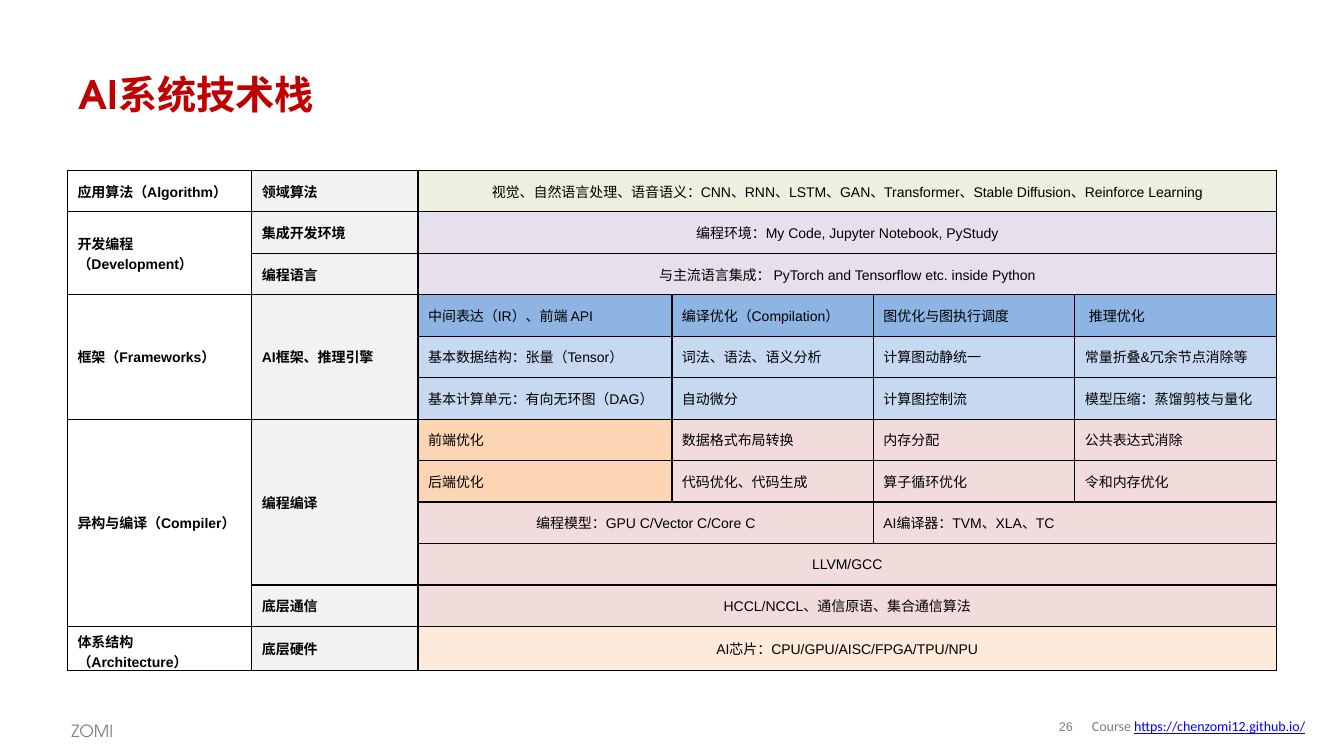
from dataclasses import dataclass
from typing import Optional

from lxml.etree import SubElement
from pptx import Presentation
from pptx.dml.color import RGBColor
from pptx.enum.text import MSO_ANCHOR as Anchor, PP_ALIGN as Align
from pptx.oxml.ns import qn
from pptx.slide import Slide
from pptx.table import _Cell as Cell
from pptx.text.text import Font
from pptx.util import Inches, Length, Pt

SLIDE_WIDTH, SLIDE_HEIGHT = Inches(13.34), Inches(7.5)

BLACK = RGBColor(0x00, 0x00, 0x00)
TITLE_RED = RGBColor(0xC0, 0x00, 0x00)
FOOTER_GREY = RGBColor(0x80, 0x80, 0x80)
LINK_BLUE = RGBColor(0x00, 0x00, 0xFF)
TOPIC_GREY = RGBColor(0xF2, 0xF2, 0xF2)
GREEN = RGBColor(0xEB, 0xF1, 0xDE)
PURPLE = RGBColor(0xE6, 0xE0, 0xEC)
BLUE = RGBColor(0x8E, 0xB4, 0xE3)
PALE_BLUE = RGBColor(0xC6, 0xD9, 0xF1)
ORANGE = RGBColor(0xFC, 0xD5, 0xB5)
PINK = RGBColor(0xF2, 0xDC, 0xDB)
CREAM = RGBColor(0xFD, 0xEA, 0xDA)

BODY_FONT, DISPLAY_FONT, LINK_FONT = "Arial", "TeX Gyre Adventor", "Calibri"

# Table measures, in percent of the slide's width or height
TABLE_LEFT, TABLE_TOP, TABLE_HEIGHT = 5.02, 22.53, 65.87
COLUMN_WIDTHS = (13.72, 12.37, 18.89, 14.99, 14.99, 14.99)
ROW_COUNT = 12
LAYER, TOPIC, DETAIL = 0, 1, 2  # first column of each part


@dataclass(frozen=True)
class Label:
    """A free text; its place is in percent of the slide's size."""
    left: float
    top: float
    width: float
    height: float
    text: str
    font: str
    size: float
    color: RGBColor
    bold: bool = False
    anchor: Anchor = Anchor.MIDDLE
    align: Align = Align.LEFT
    line_spacing: float = 1.0
    inset: float = 0.1
    link: str = ""


@dataclass(frozen=True)
class Block:
    """One cell of the stack, placed by row and column."""
    row: int
    column: int
    text: str
    fill: Optional[RGBColor] = None
    rows: int = 1
    columns: int = 1
    inset: float = 0.1

    @property
    def is_heading(self) -> bool:
        return self.column < DETAIL

    @property
    def is_centred(self) -> bool:
        return self.columns == 4 or (self.columns == 2 and self.column == DETAIL)


LABELS = (
    Label(5.1, 8.13, 89.88, 8.53, "AI系统技术栈", DISPLAY_FONT, 28, TITLE_RED, bold=True),
    Label(77.96, 94.13, 2.7, 4.13, "26", BODY_FONT, 9, FOOTER_GREY,
          align=Align.CENTER, line_spacing=0.85, inset=0),
    Label(4.57, 94.13, 6, 4.27, "ZOMI", DISPLAY_FONT, 12, FOOTER_GREY,
          anchor=Anchor.TOP, line_spacing=1.2),
    Label(80.51, 94.13, 18.44, 3.87, "Course ", LINK_FONT, 10, FOOTER_GREY,
          link="https://chenzomi12.github.io/"),
)

LAYERS = (
    Block(0, LAYER, "应用算法（Algorithm）"),
    Block(1, LAYER, "开发编程（Development）", rows=2),
    Block(3, LAYER, "框架（Frameworks）", rows=3),
    Block(6, LAYER, "异构与编译（Compiler）", rows=5),
    Block(11, LAYER, "体系结构（Architecture）"),
)

TOPICS = (
    Block(0, TOPIC, "领域算法", TOPIC_GREY),
    Block(1, TOPIC, "集成开发环境", TOPIC_GREY),
    Block(2, TOPIC, "编程语言", TOPIC_GREY),
    Block(3, TOPIC, "AI框架、推理引擎", TOPIC_GREY, rows=3),
    Block(6, TOPIC, "编程编译", TOPIC_GREY, rows=4),
    Block(10, TOPIC, "底层通信", TOPIC_GREY),
    Block(11, TOPIC, "底层硬件", TOPIC_GREY),
)

DETAILS = (
    Block(0, DETAIL, "视觉、自然语言处理、语音语义：CNN、RNN、LSTM、GAN、Transformer、"
          "Stable Diffusion、Reinforce Learning", GREEN, columns=4),
    Block(1, DETAIL, "编程环境：My Code, Jupyter Notebook, PyStudy", PURPLE, columns=4),
    Block(2, DETAIL, "与主流语言集成： PyTorch and Tensorflow etc. inside Python",
          PURPLE, columns=4),
    Block(3, 2, "中间表达（IR）、前端 API", BLUE),
    Block(3, 3, "编译优化（Compilation）", BLUE),
    Block(3, 4, "图优化与图执行调度", BLUE),
    Block(3, 5, "推理优化", BLUE, inset=0.14),
    Block(4, 2, "基本数据结构：张量（Tensor）", PALE_BLUE),
    Block(4, 3, "词法、语法、语义分析", PALE_BLUE),
    Block(4, 4, "计算图动静统一", PALE_BLUE),
    Block(4, 5, "常量折叠&冗余节点消除等", PALE_BLUE),
    Block(5, 2, "基本计算单元：有向无环图（DAG）", PALE_BLUE),
    Block(5, 3, "自动微分", PALE_BLUE),
    Block(5, 4, "计算图控制流", PALE_BLUE),
    Block(5, 5, "模型压缩：蒸馏剪枝与量化", PALE_BLUE),
    Block(6, 2, "前端优化", ORANGE),
    Block(6, 3, "数据格式布局转换", PINK),
    Block(6, 4, "内存分配", PINK),
    Block(6, 5, "公共表达式消除", PINK),
    Block(7, 2, "后端优化", ORANGE),
    Block(7, 3, "代码优化、代码生成", PINK),
    Block(7, 4, "算子循环优化", PINK),
    Block(7, 5, "令和内存优化", PINK),
    Block(8, 2, "编程模型：GPU C/Vector C/Core C", PINK, columns=2),
    Block(8, 4, "AI编译器：TVM、XLA、TC", PINK, columns=2),
    Block(9, DETAIL, "LLVM/GCC", PINK, columns=4),
    Block(10, DETAIL, "HCCL/NCCL、通信原语、集合通信算法", PINK, columns=4),
    Block(11, DETAIL, "AI芯片：CPU/GPU/AISC/FPGA/TPU/NPU", CREAM, columns=4),
)


def across(percent: float) -> Length:
    return Length(round(SLIDE_WIDTH * percent / 100))


def down(percent: float) -> Length:
    return Length(round(SLIDE_HEIGHT * percent / 100))


def set_font(font: Font, name: str, size: float, color: RGBColor, bold: bool) -> None:
    font.name, font.size, font.bold = name, Pt(size), bold
    font.color.rgb = color


def draw_label(slide: Slide, label: Label) -> None:
    frame = slide.shapes.add_textbox(across(label.left), down(label.top),
                                     across(label.width), down(label.height)).text_frame
    frame.word_wrap = True
    frame.vertical_anchor = label.anchor
    frame.margin_left = frame.margin_right = Inches(label.inset)
    frame.margin_top = frame.margin_bottom = Inches(label.inset / 2)
    paragraph = frame.paragraphs[0]
    paragraph.alignment = label.align
    paragraph.line_spacing = label.line_spacing
    set_font(paragraph.font, label.font, label.size, label.color, label.bold)
    paragraph.add_run().text = label.text
    if label.link:
        address = paragraph.add_run()
        address.text = label.link
        address.font.color.rgb = LINK_BLUE
        address.font.underline = True


def add_borders(cell: Cell) -> None:
    properties = cell._tc.get_or_add_tcPr()
    for position, side in enumerate(("a:lnL", "a:lnR", "a:lnT", "a:lnB")):
        line = SubElement(properties, qn(side), w=str(Pt(1)))
        SubElement(SubElement(line, qn("a:solidFill")), qn("a:srgbClr"), val=str(BLACK))
        properties.insert(position, line)


def fill_block(cell: Cell, block: Block) -> None:
    cell.vertical_anchor = Anchor.MIDDLE
    cell.margin_left = cell.margin_right = Inches(block.inset)
    cell.margin_top = cell.margin_bottom = Inches(0.05)
    if block.fill is None:
        cell.fill.background()
    else:
        cell.fill.solid()
        cell.fill.fore_color.rgb = block.fill
    paragraph = cell.text_frame.paragraphs[0]
    paragraph.alignment = Align.CENTER if block.is_centred else Align.LEFT
    set_font(paragraph.font, BODY_FONT, 10, BLACK, block.is_heading)
    paragraph.add_run().text = block.text


def draw_stack(slide: Slide) -> None:
    table = slide.shapes.add_table(
        ROW_COUNT, len(COLUMN_WIDTHS), across(TABLE_LEFT), down(TABLE_TOP),
        across(sum(COLUMN_WIDTHS)), down(TABLE_HEIGHT)).table
    table.first_row = table.horz_banding = False
    for column, width in zip(table.columns, COLUMN_WIDTHS):
        column.width = across(width)
    for block in LAYERS + TOPICS + DETAILS:
        cell = table.cell(block.row, block.column)
        if block.rows * block.columns > 1:
            cell.merge(table.cell(block.row + block.rows - 1,
                                  block.column + block.columns - 1))
        fill_block(cell, block)
    for cell in table.iter_cells():
        add_borders(cell)


def main() -> None:
    deck = Presentation()
    deck.slide_width, deck.slide_height = SLIDE_WIDTH, SLIDE_HEIGHT
    slide = deck.slides.add_slide(deck.slide_layouts[6])
    for label in LABELS:
        draw_label(slide, label)
    draw_stack(slide)
    deck.save("out.pptx")


if __name__ == "__main__":
    main()
